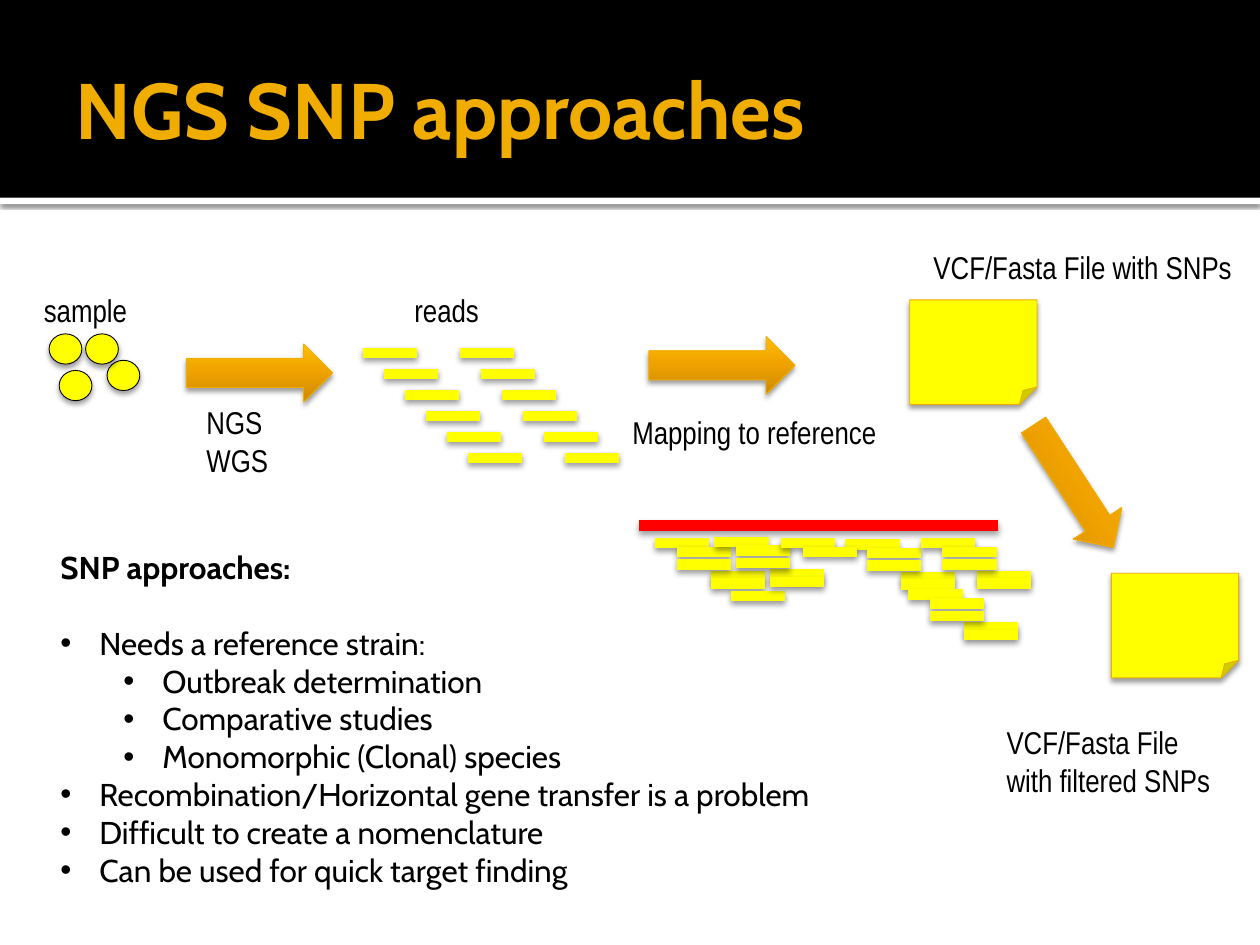
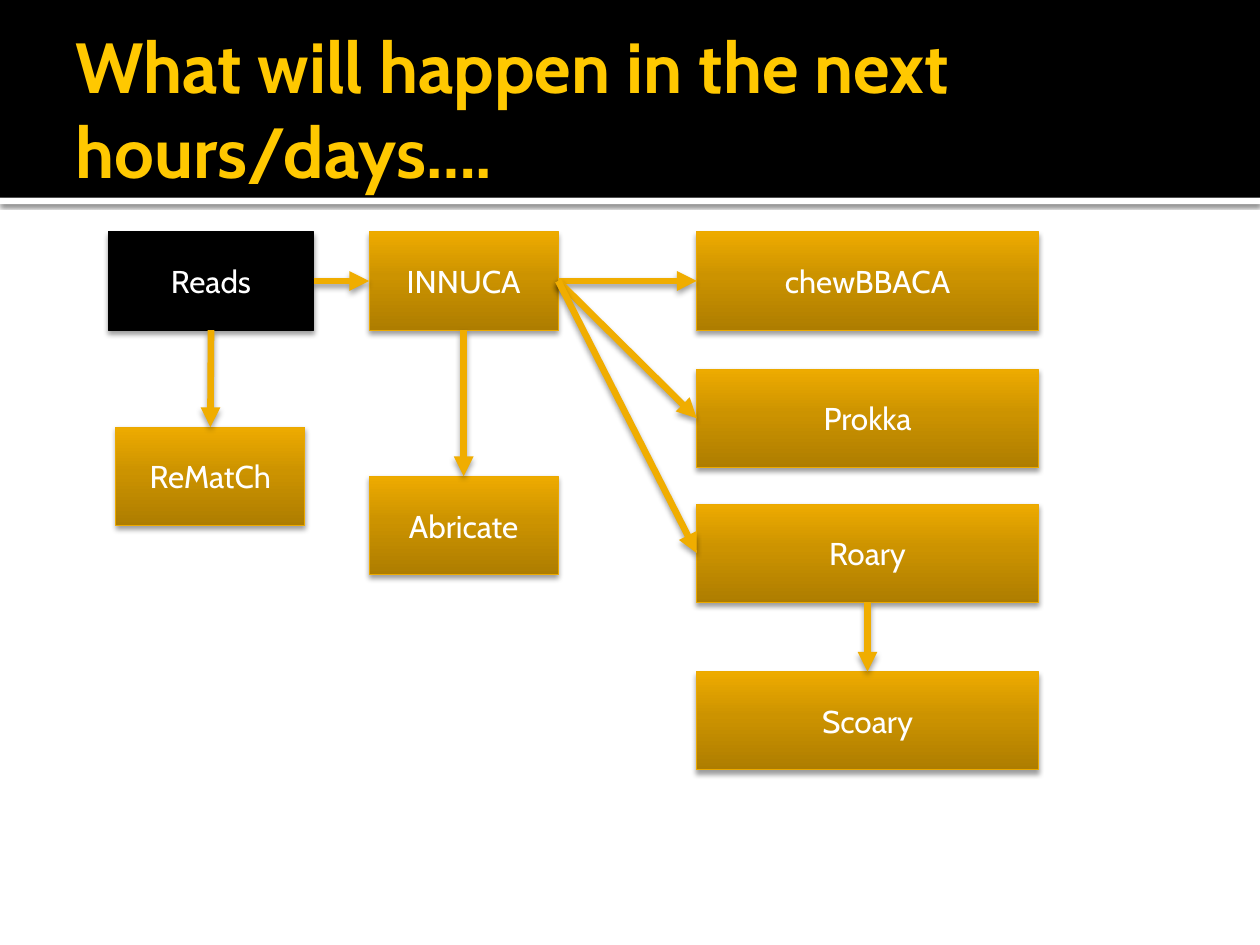
from lxml.etree import SubElement
from pptx import Presentation
from pptx.dml.color import RGBColor
from pptx.enum.shapes import MSO_CONNECTOR as LINK, MSO_SHAPE as SHAPE
from pptx.enum.text import MSO_ANCHOR as ANCHOR, PP_ALIGN as ALIGN
from pptx.oxml.ns import qn
from pptx.util import Inches, Pt

BLACK = RGBColor(0, 0, 0)
WHITE = RGBColor(255, 255, 255)
YELLOW = RGBColor(255, 255, 0)
RED = RGBColor(255, 0, 0)
AMBER = RGBColor(0xF0, 0xAD, 0)
GOLD = RGBColor(0xFF, 0xC8, 0)
EDGE = RGBColor(0xEB, 0xA9, 0)
ARROW_BLEND = (270, [(0, RGBColor(0xFF, 0xBF, 0)), (45, RGBColor(0xF1, 0xA3, 0)),
                     (100, RGBColor(0xCC, 0x89, 0))])
STEP_BLEND = (90, [(0, RGBColor(0xAE, 0x7D, 0)), (55, RGBColor(0xCC, 0x93, 0)),
                   (100, RGBColor(0xEE, 0xAB, 0))])
HEADING_FONT, LABEL_FONT = "Cabin", "Arial Narrow"
WIDTH, HEIGHT, BAND = 10, 7.5, 1.57
TEXT_SIZE = 18

SNP_TITLE = ("NGS SNP approaches", 45, AMBER)
SNP_HEADING = "SNP approaches:"
SNP_POINTS = [
    (0, "Needs a reference strain:"),
    (1, "Outbreak determination"),
    (1, "Comparative studies"),
    (1, "Monomorphic (Clonal) species"),
    (0, "Recombination/Horizontal gene transfer is a problem"),
    (0, "Difficult to create a nomenclature"),
    (0, "Can be used for quick target finding"),
]
LABELS = [
    (["sample"], (0.25, 2.26, 0.87, 0.4)),
    (["NGS", "WGS"], (1.54, 3.15, 0.7, 0.71)),
    (["reads"], (3.19, 2.26, 0.72, 0.4)),
    (["Mapping to reference"], (4.92, 3.23, 2.16, 0.4)),
    (["VCF/Fasta File with SNPs"], (7.31, 1.92, 2.59, 0.4)),
    (["VCF/Fasta File", "with filtered SNPs"], (7.89, 5.69, 1.84, 0.71)),
]
CELLS = [(0.39, 2.65), (0.47, 2.94), (0.85, 2.86), (0.68, 2.65)]
STAGE_ARROWS = [(1.48, 2.73, 0), (5.15, 2.67, 0), (7.94, 3.63, 56.9)]
FILES = [(7.22, 2.38), (8.82, 4.55)]
READ_LENGTH, READ_STEP, READ_ROWS = 0.43, 1 / 6, 6
READ_COLUMNS, READ_TOP = (3.65, 2.88), 2.8
REFERENCE = (5.07, 4.17, 2.85)
PILE = [(0, 0), (0.17, 0.07), (0.44, 0.26), (0.17, 0.17), (0.44, 0.32), (0.6, 0.42)]
PILES = [(5.2, 4.31, 6), (5.67, 4.3, 5), (6.71, 4.32, 5),
         (7.31, 4.31, 5), (7.21, 4.72, 5), (6.2, 4.31, 2)]

PLAN_TITLE = ("What will happen in the next hours/days….", 40.5, GOLD)
STEP_HEIGHT = 0.78
COLUMNS = {"reads": (0.86, 1.63), "typing": (0.92, 1.5),
           "assembly": (2.93, 1.5), "analysis": (5.53, 2.71)}
STEPS = {
    "Reads": ("reads", 1.84),
    "INNUCA": ("assembly", 1.84),
    "chewBBACA": ("analysis", 1.84),
    "ReMatCh": ("typing", 3.39),
    "Abricate": ("assembly", 3.78),
    "Prokka": ("analysis", 2.93),
    "Roary": ("analysis", 4),
    "Scoary": ("analysis", 5.33),
}
TOP, LEFT, BOTTOM, RIGHT = range(4)
ACROSS, DOWN = (RIGHT, LEFT), (BOTTOM, TOP)
FLOWS = [
    ("Reads", "INNUCA", ACROSS),
    ("Reads", "ReMatCh", DOWN),
    ("INNUCA", "Abricate", DOWN),
    ("INNUCA", "chewBBACA", ACROSS),
    ("INNUCA", "Prokka", ACROSS),
    ("INNUCA", "Roary", ACROSS),
    ("Roary", "Scoary", DOWN),
]


def inches(*lengths):
    return [Inches(length) for length in lengths]


def cast_shadow(part, blur, distance=2, opacity=38):
    effects = SubElement(part.element.spPr, qn("a:effectLst"))
    shadow = SubElement(effects, qn("a:outerShdw"), blurRad=str(Pt(blur)),
                        dist=str(Pt(distance)), dir="5400000", rotWithShape="0")
    tone = SubElement(shadow, qn("a:srgbClr"), val=str(BLACK))
    SubElement(tone, qn("a:alpha"), val=str(opacity * 1000))


def blend(shape, angle, stops):
    shape.fill.gradient()
    shape.fill.gradient_angle = angle
    stop_list = shape.element.spPr.find(qn("a:gradFill")).find(qn("a:gsLst"))
    stop_list.clear()
    for share, colour in stops:
        stop = SubElement(stop_list, qn("a:gs"), pos=str(share * 1000))
        SubElement(stop, qn("a:srgbClr"), val=str(colour))


def add_figure(slide, kind, place, paint, edge=None, shadow=(3.1,)):
    figure = slide.shapes.add_shape(kind, *inches(*place))
    if isinstance(paint, tuple) and not isinstance(paint, RGBColor):
        blend(figure, *paint)
    else:
        figure.fill.solid()
        figure.fill.fore_color.rgb = paint
    if edge is None:
        figure.line.fill.background()
    else:
        figure.line.color.rgb = edge
        figure.line.width = Pt(0.5)
    if shadow:
        cast_shadow(figure, *shadow)
    else:
        figure.shadow.inherit = False
    return figure


def style_line(line, colour, width):
    line.line.color.rgb = colour
    line.line.width = Pt(width)
    cast_shadow(line, 3.5)


def add_strand(slide, left, y, length=READ_LENGTH, colour=YELLOW):
    strand = slide.shapes.add_connector(LINK.STRAIGHT, *inches(left, y, left + length, y))
    style_line(strand, colour, 6)


def write(paragraph, text, font=HEADING_FONT, size=TEXT_SIZE, colour=BLACK, bold=False):
    run = paragraph.add_run()
    run.text = text
    run.font.name = font
    run.font.size = Pt(size)
    run.font.bold = bold
    run.font.color.rgb = colour


def add_frame(slide, place, wrap=True):
    frame = slide.shapes.add_textbox(*inches(*place)).text_frame
    frame.word_wrap = wrap
    return frame


def start_slide(deck, title):
    slide = deck.slides.add_slide(deck.slide_layouts[6])
    add_figure(slide, SHAPE.RECTANGLE, (0, BAND, WIDTH, 0.05), WHITE, shadow=(2.5, 0.8, 60))
    add_figure(slide, SHAPE.RECTANGLE, (0, 0, WIDTH, BAND), BLACK, shadow=None)
    frame = add_frame(slide, (0.5, 0.17, 9, 1.37))
    frame.margin_right = Inches(0.05)
    frame.vertical_anchor = ANCHOR.MIDDLE
    text, size, colour = title
    write(frame.paragraphs[0], text, size=size, colour=colour, bold=True)
    return slide


def add_points(slide):
    frame = add_frame(slide, (0.38, 4.3, 6.85, 3.13))
    write(frame.paragraphs[0], SNP_HEADING, bold=True)
    for number, (level, text) in enumerate(SNP_POINTS):
        point = frame.add_paragraph()
        point.level = level
        if number == 0:
            point.space_before = Pt(21.8)
        settings = point._p.get_or_add_pPr()
        settings.set("marL", str(Inches(0.31 + level * 0.5)))
        settings.set("indent", str(Inches(-0.31)))
        SubElement(settings, qn("a:buFont"), typeface="Arial")
        SubElement(settings, qn("a:buChar"), char="•")
        write(point, text)


def build_snp_slide(deck):
    slide = start_slide(deck, SNP_TITLE)
    for left, top in CELLS:
        add_figure(slide, SHAPE.OVAL, (left, top, 0.26, 0.24), YELLOW, BLACK)
    for left, top, turn in STAGE_ARROWS:
        arrow = add_figure(slide, SHAPE.RIGHT_ARROW, (left, top, 1.16, 0.46),
                           ARROW_BLEND, AMBER)
        arrow.rotation = turn
    for left in READ_COLUMNS:
        for row in range(READ_ROWS):
            add_strand(slide, left + row * READ_STEP, READ_TOP + row * READ_STEP)
    left, y, length = REFERENCE
    add_strand(slide, left, y, length, RED)
    for left, top, count in PILES:
        for right, down in PILE[:count]:
            add_strand(slide, left + right, top + down)
    for left, top in FILES:
        add_figure(slide, SHAPE.FOLDED_CORNER, (left, top, 1.01, 0.83), YELLOW, AMBER)
    for lines, place in LABELS:
        frame = add_frame(slide, place, wrap=False)
        for number, text in enumerate(lines):
            line = frame.add_paragraph() if number else frame.paragraphs[0]
            write(line, text, font=LABEL_FONT)
    add_points(slide)


def build_plan_slide(deck):
    slide = start_slide(deck, PLAN_TITLE)
    steps = {}
    for name, (column, top) in STEPS.items():
        left, width = COLUMNS[column]
        paint, edge = (BLACK, BLACK) if column == "reads" else (STEP_BLEND, EDGE)
        step = add_figure(slide, SHAPE.RECTANGLE, (left, top, width, STEP_HEIGHT), paint, edge)
        step.text_frame.vertical_anchor = ANCHOR.MIDDLE
        caption = step.text_frame.paragraphs[0]
        caption.alignment = ALIGN.CENTER
        write(caption, name, colour=WHITE)
        steps[name] = step
    for source, target, (leave, arrive) in FLOWS:
        flow = slide.shapes.add_connector(LINK.STRAIGHT, 0, 0, 0, 0)
        flow.begin_connect(steps[source], leave)
        flow.end_connect(steps[target], arrive)
        style_line(flow, AMBER, 3.78)
        SubElement(flow.element.spPr.find(qn("a:ln")), qn("a:tailEnd"), type="triangle")


def main():
    deck = Presentation()
    deck.slide_width, deck.slide_height = inches(WIDTH, HEIGHT)
    build_snp_slide(deck)
    build_plan_slide(deck)
    deck.save("out.pptx")


if __name__ == "__main__":
    main()
